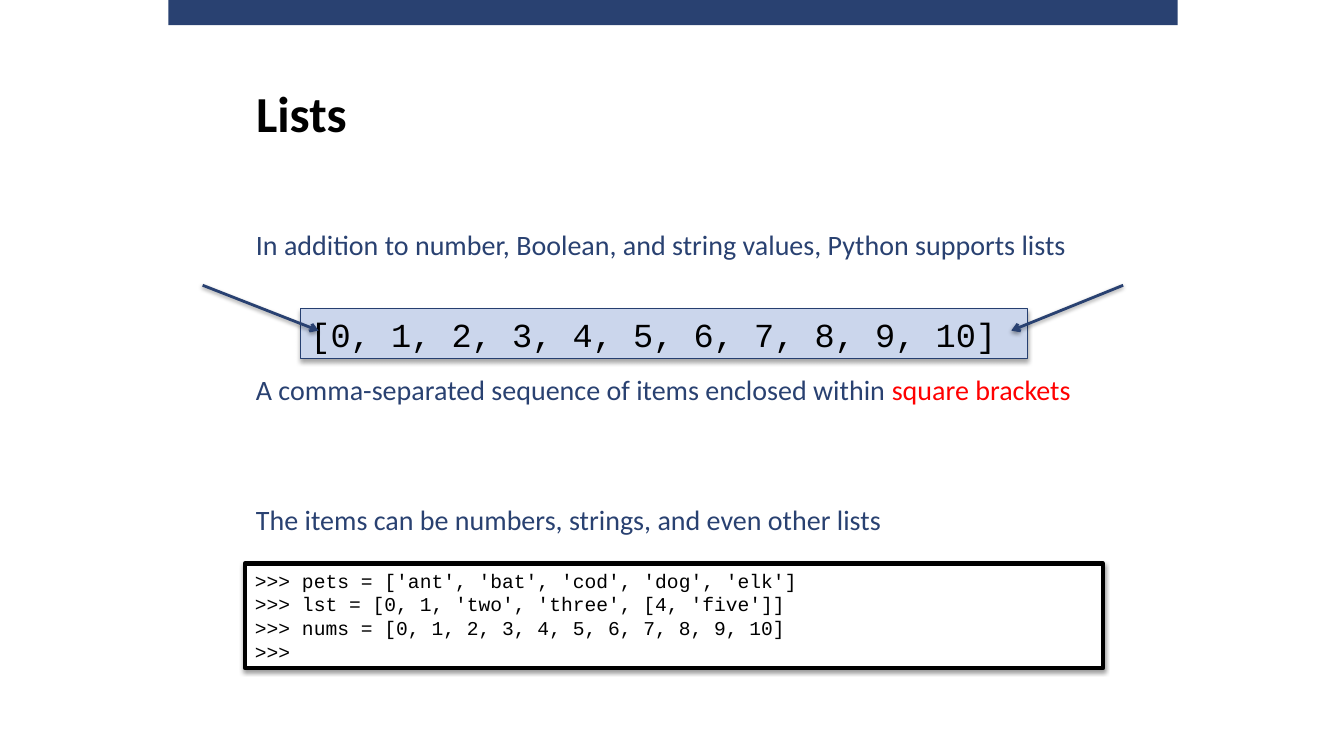
from pptx import Presentation
from pptx.dml.color import RGBColor
from pptx.enum.shapes import MSO_CONNECTOR, MSO_SHAPE
from pptx.enum.text import MSO_ANCHOR, MSO_AUTO_SIZE, PP_ALIGN
from pptx.oxml import parse_xml
from pptx.oxml.ns import nsdecls
from pptx.util import Inches, Pt

NAVY = RGBColor(0x29, 0x41, 0x71)
EDGE = RGBColor(0x26, 0x3F, 0x70)
PALE = RGBColor(0xCB, 0xD6, 0xEC)
RED = RGBColor(0xFF, 0, 0)
BLACK = RGBColor(0, 0, 0)
WHITE = RGBColor(0xFF, 0xFF, 0xFF)
RECT = MSO_SHAPE.RECTANGLE
LINE = MSO_CONNECTOR.STRAIGHT
MIDDLE = MSO_ANCHOR.MIDDLE
FIXED = MSO_AUTO_SIZE.NONE
LEFT = PP_ALIGN.LEFT

HEAD = {"name": "Calibri", "size": Pt(36), "bold": True}
BODY = {"name": "Calibri", "size": Pt(20)}
CODE = {"name": "Courier New", "size": Pt(14)}
LIST = {"name": "Courier New", "size": Pt(24)}


def write(shape, lines, style):
    frame = shape.text_frame
    frame.word_wrap = True
    frame.auto_size = FIXED
    frame.vertical_anchor = MIDDLE
    for i, runs in enumerate(lines):
        para = frame.add_paragraph() if i else frame.paragraphs[0]
        para.alignment = LEFT
        for text, color in runs:
            run = para.add_run()
            run.text = text
            run.font.color.rgb = color
            for key, value in style.items():
                setattr(run.font, key, value)


def shade(shape, alpha, dist):
    shape._element.spPr.append(parse_xml(
        f'<a:effectLst {nsdecls("a")}>'
        f'<a:outerShdw blurRad="{Pt(3.1)}" dist="{Pt(dist)}" dir="5400000" rotWithShape="0">'
        f'<a:srgbClr val="000000"><a:alpha val="{alpha * 1000}"/></a:srgbClr>'
        '</a:outerShdw></a:effectLst>'))


deck = Presentation()
deck.slide_width = Inches(13.33)
deck.slide_height = Inches(7.5)
slide = deck.slides.add_slide(deck.slide_layouts[5])
shapes = slide.shapes

band = shapes.add_shape(RECT, Inches(1.67), 0, Inches(10.01), Inches(0.25))
band.shadow.inherit = False
band.fill.solid()
band.fill.fore_color.rgb = NAVY
band.line.fill.background()

title = shapes.title
title.left, title.top = Inches(2.44), Inches(0.61)
title.width, title.height = Inches(8.5), Inches(1)
write(title, [[("Lists", BLACK)]], HEAD)

notes = [
    (2.2, [("In addition to number, Boolean, and string values, Python supports lists", NAVY)]),
    (3.64, [("A comma-separated sequence of items enclosed within ", NAVY),
            ("square brackets", RED)]),
    (4.93, [("The items can be numbers, strings, and even other lists", NAVY)]),
]
for top, runs in notes:
    box = shapes.add_textbox(Inches(2.44), Inches(top), Inches(8.38), Inches(0.44))
    write(box, [runs], BODY)

shell = [
    ">>> pets = ['ant', 'bat', 'cod', 'dog', 'elk']",
    ">>> lst = [0, 1, 'two', 'three', [4, 'five']]",
    ">>> nums = [0, 1, 2, 3, 4, 5, 6, 7, 8, 9, 10]",
    ">>>",
]
panels = [
    (2.98, 3.06, 7.21, 0.5, PALE, EDGE, 0.75, 35, 1.8,
     ["[0, 1, 2, 3, 4, 5, 6, 7, 8, 9, 10]"], LIST),
    (2.43, 5.59, 8.51, 1.04, WHITE, BLACK, 3, 38, 1.6, shell, CODE),
]
for left, top, width, height, fill, edge, weight, alpha, dist, lines, style in panels:
    panel = shapes.add_shape(RECT, Inches(left), Inches(top), Inches(width), Inches(height))
    panel.fill.solid()
    panel.fill.fore_color.rgb = fill
    panel.line.color.rgb = edge
    panel.line.width = Pt(weight)
    shade(panel, alpha, dist)
    write(panel, [[(line, BLACK)] for line in lines], style)

for start, end in [(11.14, 10.03), (2.01, 3.16)]:
    arrow = shapes.add_connector(LINE, Inches(start), Inches(2.83), Inches(end), Inches(3.28))
    arrow.line.color.rgb = NAVY
    arrow.line.width = Pt(2)
    arrow.line._get_or_add_ln().append(
        parse_xml(f'<a:tailEnd {nsdecls("a")} type="arrow"/>'))
    shade(arrow, 38, 1.6)

deck.save("out.pptx")
